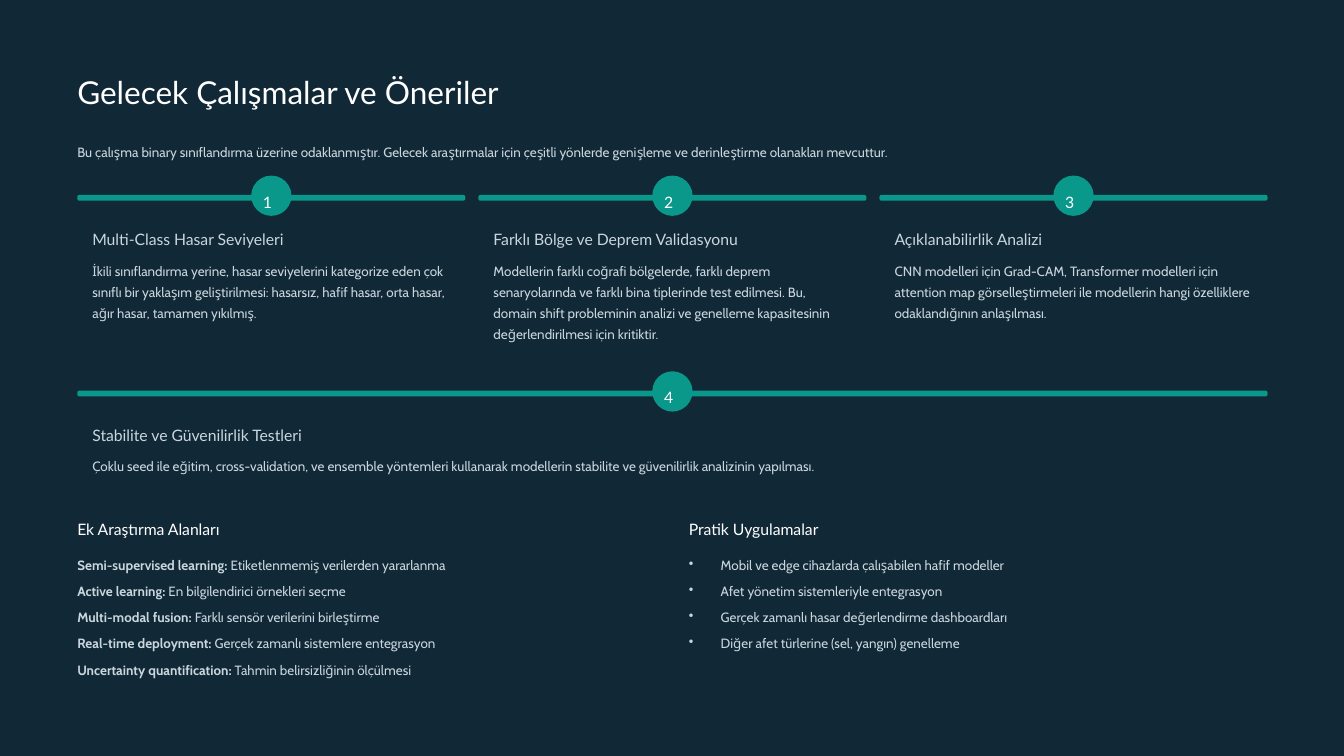
from dataclasses import dataclass

from lxml.etree import SubElement
from pptx import Presentation
from pptx.dml.color import RGBColor
from pptx.enum.shapes import MSO_SHAPE
from pptx.oxml.ns import qn
from pptx.slide import Slide
from pptx.util import Inches, Pt

NAVY = RGBColor(0x11, 0x28, 0x36)
TEAL = RGBColor(0x0A, 0x98, 0x8B)
WHITE = RGBColor(0xFF, 0xFF, 0xFF)
MIST = RGBColor(0xCA, 0xD6, 0xDE)

LEFT = 0.92
WIDTH = 14.17
CARD_W = 4.62
CARD_GAP = (WIDTH - 3 * CARD_W) / 2
NODE = 0.48
INSET = 0.18
LIST_PITCH = 0.3125


@dataclass(frozen=True)
class Style:
    font: str
    size: float
    color: RGBColor
    leading: float


TITLE = Style("Lato", 27, WHITE, 33.5)
NUMBER = Style("Lato", 13.5, WHITE, 22)
CARD_HEADING = Style("Lato", 13.5, MIST, 16.5)
LIST_HEADING = Style("Lato", 13.5, WHITE, 16.5)
BODY = Style("Cabin", 11.5, MIST, 18)


@dataclass(frozen=True)
class Card:
    left: float
    top: float
    width: float
    heading: str
    body: str
    body_height: float


@dataclass(frozen=True)
class Item:
    text: str
    term: str = ""


@dataclass(frozen=True)
class TopicList:
    left: float
    heading: str
    items: tuple[Item, ...]
    bulleted: bool


def column(index: int) -> float:
    return LEFT + index * (CARD_W + CARD_GAP)


CARDS = (
    Card(column(0), 2.32, CARD_W, "Multi-Class Hasar Seviyeleri",
         "İkili sınıflandırma yerine, hasar seviyelerini kategorize eden çok "
         "sınıflı bir yaklaşım geliştirilmesi: hasarsız, hafif hasar, orta hasar, "
         "ağır hasar, tamamen yıkılmış.", 0.77),
    Card(column(1), 2.32, CARD_W, "Farklı Bölge ve Deprem Validasyonu",
         "Modellerin farklı coğrafi bölgelerde, farklı deprem senaryolarında ve "
         "farklı bina tiplerinde test edilmesi. Bu, domain shift probleminin "
         "analizi ve genelleme kapasitesinin değerlendirilmesi için kritiktir.", 1.03),
    Card(column(2), 2.32, CARD_W, "Açıklanabilirlik Analizi",
         "CNN modelleri için Grad-CAM, Transformer modelleri için attention map "
         "görselleştirmeleri ile modellerin hangi özelliklere odaklandığının "
         "anlaşılması.", 0.77),
    Card(LEFT, 4.65, WIDTH, "Stabilite ve Güvenilirlik Testleri",
         "Çoklu seed ile eğitim, cross-validation, ve ensemble yöntemleri "
         "kullanarak modellerin stabilite ve güvenilirlik analizinin yapılması.", 0.26),
)

LISTS = (
    TopicList(LEFT, "Ek Araştırma Alanları", (
        Item(" Etiketlenmemiş verilerden yararlanma", "Semi-supervised learning:"),
        Item(" En bilgilendirici örnekleri seçme", "Active learning:"),
        Item(" Farklı sensör verilerini birleştirme", "Multi-modal fusion:"),
        Item(" Gerçek zamanlı sistemlere entegrasyon", "Real-time deployment:"),
        Item(" Tahmin belirsizliğinin ölçülmesi", "Uncertainty quantification:"),
    ), False),
    TopicList(8.2, "Pratik Uygulamalar", (
        Item("Mobil ve edge cihazlarda çalışabilen hafif modeller"),
        Item("Afet yönetim sistemleriyle entegrasyon"),
        Item("Gerçek zamanlı hasar değerlendirme dashboardları"),
        Item("Diğer afet türlerine (sel, yangın) genelleme"),
    ), True),
)


def add_text(s: Slide, left: float, top: float, width: float, height: float,
             style: Style, text: str, term: str = "", bulleted: bool = False) -> None:
    box = s.shapes.add_textbox(Inches(left), Inches(top), Inches(width), Inches(height))
    tf = box.text_frame
    tf.word_wrap = True
    tf.margin_left = tf.margin_right = tf.margin_top = tf.margin_bottom = 0
    p = tf.paragraphs[0]
    p.line_spacing = Pt(style.leading)
    if bulleted:
        props = p._p.get_or_add_pPr()
        props.set("marL", str(Inches(0.38)))
        props.set("indent", str(Inches(-0.38)))
        SubElement(props, qn("a:buChar")).set("char", "•")
    for content, bold in ((term, True), (text, False)):
        if content:
            r = p.add_run()
            r.text = content
            r.font.name = style.font
            r.font.size = Pt(style.size)
            r.font.bold = bold
            r.font.color.rgb = style.color


def add_rounded(s: Slide, left: float, top: float, width: float, height: float,
                radius: float) -> None:
    sp = s.shapes.add_shape(MSO_SHAPE.ROUNDED_RECTANGLE, Inches(left), Inches(top),
                            Inches(width), Inches(height))
    sp.adjustments[0] = radius
    sp.shadow.inherit = False
    sp.fill.solid()
    sp.fill.fore_color.rgb = TEAL
    sp.line.fill.background()


def add_card(s: Slide, number: int, card: Card) -> None:
    center = card.left + card.width / 2
    text_left = card.left + INSET
    text_width = card.width - 2 * INSET
    add_rounded(s, card.left, card.top, card.width, 0.07, 0.36)
    add_rounded(s, center - NODE / 2, card.top - 0.23, NODE, NODE, 0.5)
    add_text(s, center - 0.1, card.top - 0.11, 0.19, 0.24, NUMBER, str(number))
    add_text(s, text_left, card.top + 0.41, text_width, 0.24, CARD_HEADING, card.heading)
    add_text(s, text_left, card.top + 0.75, text_width, card.body_height, BODY, card.body)


def add_topic_list(s: Slide, topics: TopicList) -> None:
    add_text(s, topics.left, 6.18, 2.37, 0.24, LIST_HEADING, topics.heading)
    for row, item in enumerate(topics.items):
        add_text(s, topics.left, 6.57 + row * LIST_PITCH, 6.89, 0.26, BODY,
                 item.text, item.term, topics.bulleted)


def main() -> None:
    prs = Presentation()
    prs.slide_width = Inches(16)
    prs.slide_height = Inches(9)
    s = prs.slides.add_slide(prs.slide_layouts[6])
    s.background.fill.solid()
    s.background.fill.fore_color.rgb = NAVY
    add_text(s, LEFT, 0.86, 6.78, 0.47, TITLE, "Gelecek Çalışmalar ve Öneriler")
    add_text(s, LEFT, 1.66, WIDTH, 0.26, BODY,
             "Bu çalışma binary sınıflandırma üzerine odaklanmıştır. Gelecek "
             "araştırmalar için çeşitli yönlerde genişleme ve derinleştirme "
             "olanakları mevcuttur.")
    for number, card in enumerate(CARDS, start=1):
        add_card(s, number, card)
    for topics in LISTS:
        add_topic_list(s, topics)
    prs.save("out.pptx")


if __name__ == "__main__":
    main()
